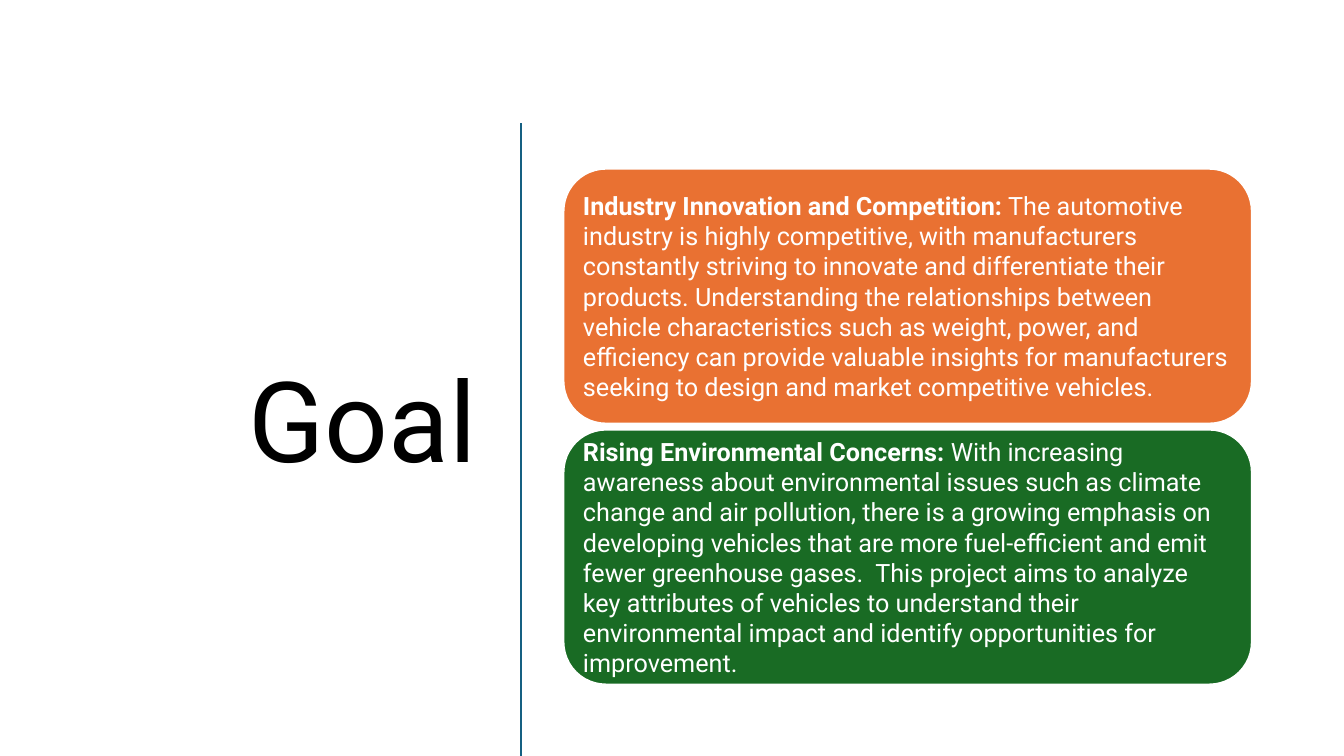
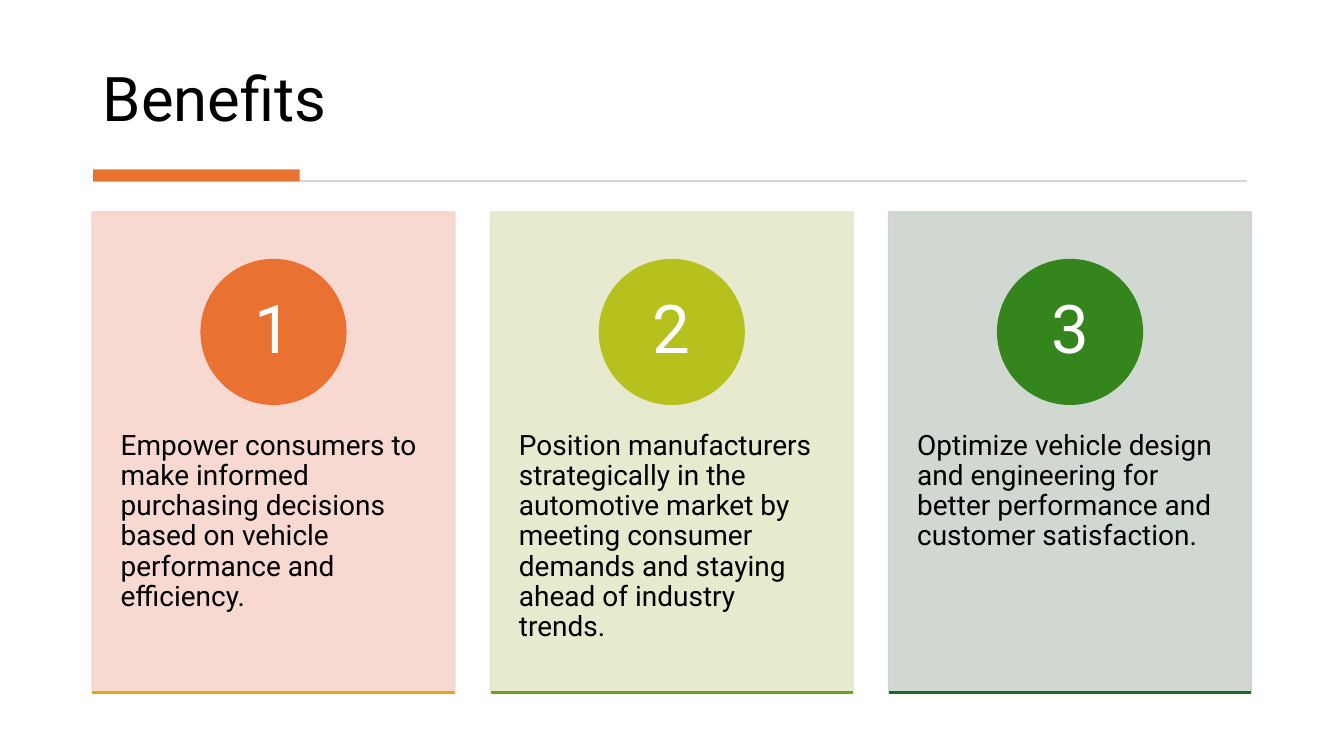
from collections import namedtuple

from lxml.etree import SubElement
from pptx import Presentation
from pptx.dml.color import RGBColor
from pptx.enum.shapes import MSO_CONNECTOR, MSO_SHAPE
from pptx.enum.text import MSO_ANCHOR, MSO_AUTO_SIZE, PP_ALIGN
from pptx.oxml.ns import qn
from pptx.util import Cm, Pt

BLACK = RGBColor(0x00, 0x00, 0x00)
WHITE = RGBColor(0xFF, 0xFF, 0xFF)
ORANGE = RGBColor(0xE9, 0x71, 0x32)
TEAL = RGBColor(0x15, 0x60, 0x82)
GRAY = RGBColor(0xD5, 0xD5, 0xD5)
DARK_GREEN = RGBColor(0x19, 0x6B, 0x24)
GREEN = RGBColor(0x34, 0x86, 0x1C)
LEAF = RGBColor(0x6B, 0xA3, 0x1D)
LIME = RGBColor(0xB7, 0xC1, 0x1E)
GOLD = RGBColor(0xE0, 0xA6, 0x1D)
PALE_ORANGE = RGBColor(0xF7, 0xD5, 0xCE)
PALE_LIME = RGBColor(0xE5, 0xE8, 0xCA)
PALE_GREEN = RGBColor(0xCC, 0xD4, 0xCD)

FONT = "Roboto"
TITLE_ONLY = 5
OUTLINE = 1.5
Box = namedtuple("Box", "left top width height")

GOALS = [
    (ORANGE, "Industry Innovation and Competition:",
     " The automotive industry is highly competitive, with manufacturers constantly "
     "striving to innovate and differentiate their products. Understanding the "
     "relationships between vehicle characteristics such as weight, power, and "
     "efficiency can provide valuable insights for manufacturers seeking to design "
     "and market competitive vehicles."),
    (DARK_GREEN, "Rising Environmental Concerns:",
     " With increasing awareness about environmental issues such as climate change "
     "and air pollution, there is a growing emphasis on developing vehicles that are "
     "more fuel-efficient and emit fewer greenhouse gases.  This project aims to "
     "analyze key attributes of vehicles to understand their environmental impact "
     "and identify opportunities for improvement."),
]

BENEFITS = [
    (PALE_ORANGE, ORANGE, GOLD,
     "Empower consumers to make informed purchasing decisions based on vehicle "
     "performance and efficiency."),
    (PALE_LIME, LIME, LEAF,
     "Position manufacturers strategically in the automotive market by meeting "
     "consumer demands and staying ahead of industry trends."),
    (PALE_GREEN, GREEN, DARK_GREEN,
     "Optimize vehicle design and engineering for better performance and customer "
     "satisfaction."),
]


def set_values(target, values):
    """Set every attribute named in the dict on the target."""
    for name, value in values.items():
        setattr(target, name, value)


def write_text(shape, spans, size, color, align=PP_ALIGN.LEFT, anchor=MSO_ANCHOR.MIDDLE,
               spacing=1.0, margins=(0.25, 0.13, 0.25, 0.13)):
    """Write one paragraph of (text, bold) spans into a shape."""
    frame = shape.text_frame
    sides = ("margin_left", "margin_top", "margin_right", "margin_bottom")
    set_values(frame, {"word_wrap": True, "auto_size": MSO_AUTO_SIZE.NONE,
                       "vertical_anchor": anchor})
    set_values(frame, dict(zip(sides, map(Cm, margins))))
    para = frame.paragraphs[0]
    set_values(para, {"alignment": align, "line_spacing": spacing})
    for text, bold in spans:
        span = para.add_run()
        span.text = text
        set_values(span.font, {"name": FONT, "size": Pt(size), "bold": bold})
        span.font.color.rgb = color


def add_block(page, kind, box, fill, outline=None, opacity=None):
    """Add a filled preset shape with an optional outline and opacity."""
    shape = page.shapes.add_shape(kind, *map(Cm, box))
    shape.shadow.inherit = False
    shape.fill.solid()
    shape.fill.fore_color.rgb = fill
    if outline is None:
        shape.line.fill.background()
    else:
        shape.line.color.rgb = outline
        shape.line.width = Pt(OUTLINE)
    if opacity is not None:
        for color in shape._element.spPr.iter(qn("a:srgbClr")):
            SubElement(color, qn("a:alpha"), val=str(opacity * 1000))
    return shape


def add_rule(page, start, end, color, width):
    """Add a straight line between two points."""
    rule = page.shapes.add_connector(MSO_CONNECTOR.STRAIGHT, *map(Cm, start + end))
    rule.line.color.rgb = color
    rule.line.width = Pt(width)
    SubElement(rule._element.spPr, qn("a:effectLst"))


def add_page(deck, title, box, size, align, anchor):
    """Add a title-only slide and place its title."""
    page = deck.slides.add_slide(deck.slide_layouts[TITLE_ONLY])
    holder = page.shapes.title
    set_values(holder, dict(zip(Box._fields, map(Cm, box))))
    write_text(holder, [(title, False)], size, BLACK, align, anchor, 0.9)
    return page


def add_goal_panels(page, box, gap):
    """Stack the goal panels evenly in the box."""
    height = (box.height - gap * (len(GOALS) - 1)) / len(GOALS)
    for index, (color, heading, body) in enumerate(GOALS):
        place = Box(box.left, box.top + index * (height + gap), box.width, height)
        panel = add_block(page, MSO_SHAPE.ROUNDED_RECTANGLE, place, color, WHITE)
        write_text(panel, [(heading, True), (body, False)], 18, WHITE,
                   margins=(0.18,) * 4)


def add_benefit_card(page, box, number, benefit):
    """Add a card with a numbered circle, its text and a bottom rule."""
    pale, strong, edge, body = benefit
    card = add_block(page, MSO_SHAPE.RECTANGLE, box, pale, pale, 90)
    write_text(card, [(body, False)], 20, BLACK, anchor=MSO_ANCHOR.TOP,
               spacing=0.9, margins=(0.71, 5.51, 0.71, 0.9))
    size = 3.63
    place = Box(box.left + (box.width - size) / 2, box.top + 1.2, size, size)
    circle = add_block(page, MSO_SHAPE.OVAL, place, strong, strong)
    write_text(circle, [(str(number), False)], 48, WHITE, PP_ALIGN.CENTER,
               spacing=0.9, margins=(0.28, 0.03, 0.28, 0.03))
    bottom = box.top + box.height
    add_rule(page, (box.left, bottom), (box.left + box.width, bottom), edge, OUTLINE)


def add_benefit_cards(page, box, gap):
    """Spread the benefit cards evenly over the box."""
    width = (box.width - gap * (len(BENEFITS) - 1)) / len(BENEFITS)
    for index, benefit in enumerate(BENEFITS):
        place = Box(box.left + index * (width + gap), box.top, width, box.height)
        add_benefit_card(page, place, index + 1, benefit)


def add_title_band(page, box, accent_width):
    """Add a thin gray rule with an orange accent above its left end."""
    bottom = box.top + box.height
    add_rule(page, (box.left, bottom), (box.left + box.width, bottom), GRAY, OUTLINE)
    add_block(page, MSO_SHAPE.RECTANGLE, box._replace(width=accent_width), ORANGE)


def build_goal(deck):
    """Build the goal slide."""
    page = add_page(deck, "Goal", Box(1.32, 2.97, 10.95, 15.52), 80,
                    PP_ALIGN.RIGHT, MSO_ANCHOR.MIDDLE)
    add_rule(page, (13.13, 3.1), (13.13, 19.05), TEAL, 2)
    add_goal_panels(page, Box(14.2, 4.25, 17.35, 13), 0.15)


def build_benefits(deck):
    """Build the benefits slide."""
    page = add_page(deck, "Benefits", Box(2.34, 0.7, 29.2, 2.83), 44,
                    PP_ALIGN.LEFT, MSO_ANCHOR.BOTTOM)
    add_title_band(page, Box(2.35, 4.27, 29.08, 0.3), 5.2)
    add_benefit_cards(page, Box(2.33, 5.35, 29.2, 12.1), 0.91)


def main():
    """Build and save the deck."""
    deck = Presentation()
    set_values(deck, {"slide_width": Cm(33.87), "slide_height": Cm(19.05)})
    build_goal(deck)
    build_benefits(deck)
    deck.save("out.pptx")


if __name__ == "__main__":
    main()
